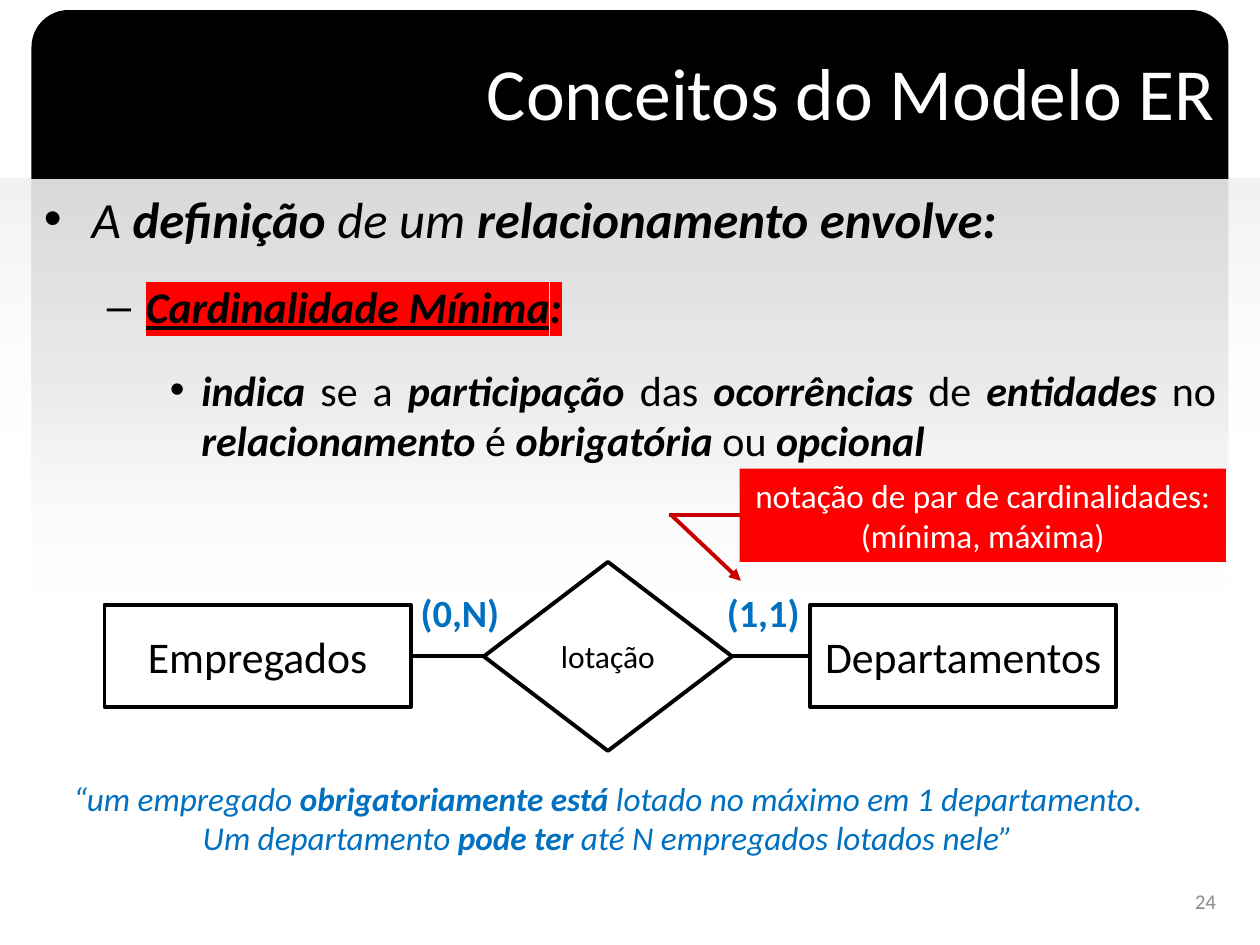
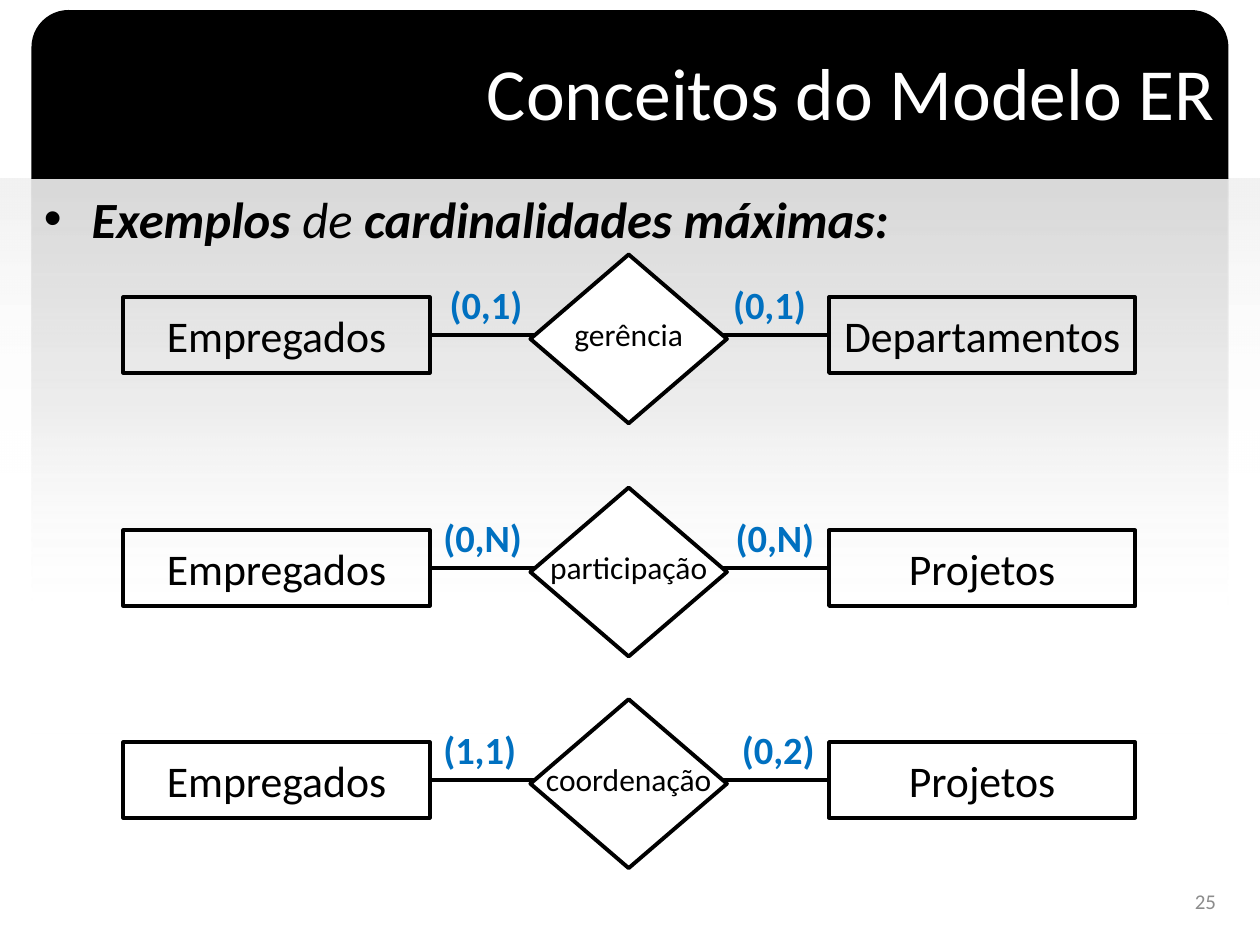
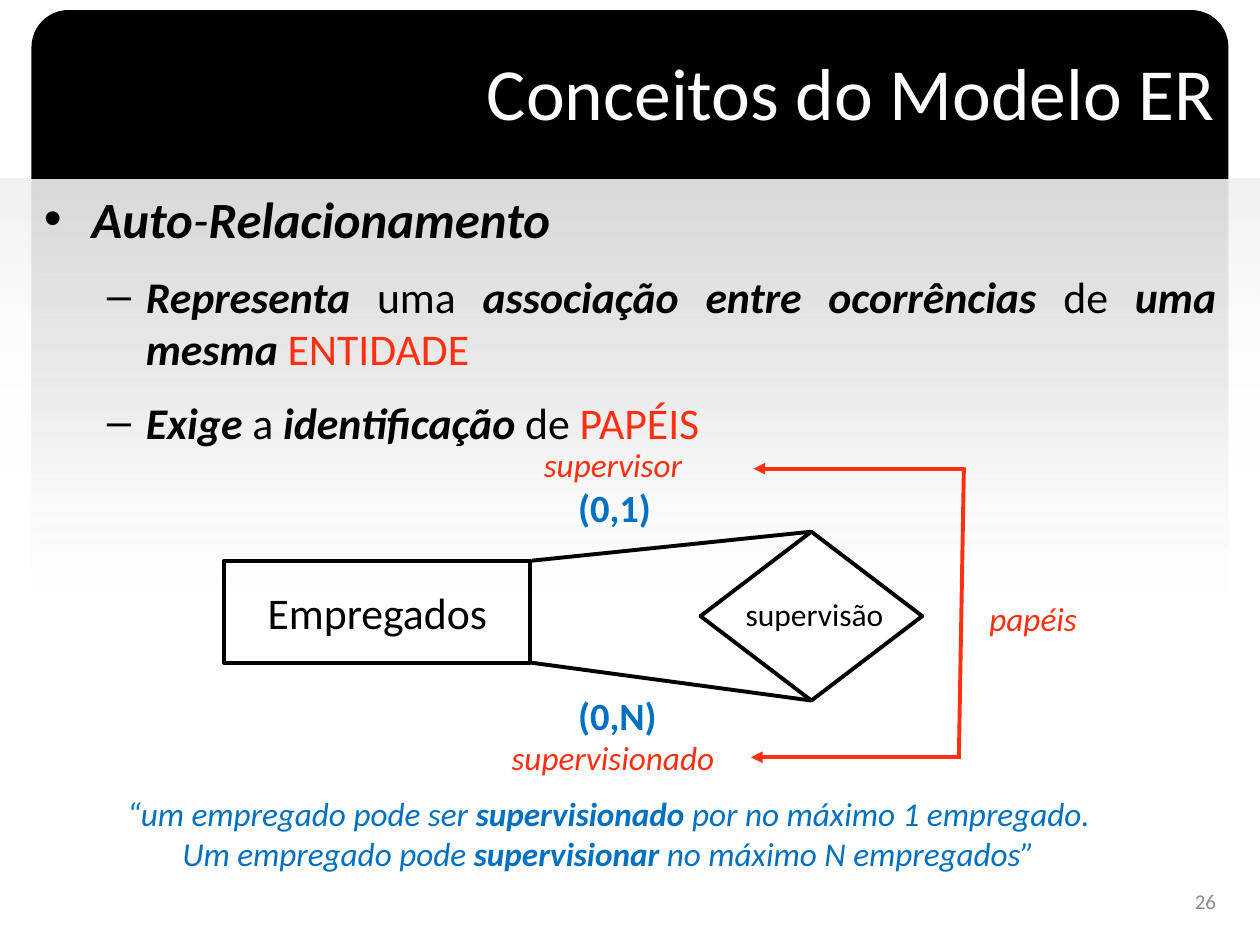
from dataclasses import dataclass

from lxml.etree import SubElement
from pptx import Presentation
from pptx.dml.color import RGBColor
from pptx.enum.shapes import MSO_CONNECTOR, MSO_SHAPE
from pptx.enum.text import MSO_ANCHOR, PP_ALIGN
from pptx.oxml.ns import qn
from pptx.util import Inches, Pt


@dataclass(frozen=True)
class Theme:
    font: str = "Calibri"
    black: str = "000000"
    white: str = "FFFFFF"
    blue: str = "0070C0"
    red: str = "FF0000"
    dark_red: str = "C80000"
    role_red: str = "FF2F12"
    grey: str = "8C8C8C"
    title: int = 42
    levels: tuple = (29, 25, 24)
    entity: int = 25
    cardinality: int = 22
    note: int = 19
    relationship: int = 18
    number: int = 12
    line: float = 2.25


theme = Theme()
# Left indent, hanging indent and bullet of each outline level
OUTLINE = [(0.38, 0.38, "•"), (0.81, 0.31, "–"), (1.25, 0.25, "•")]
# Width and height of every cardinality label
CARDINALITY_SIZE = (0.9, 0.47)


def add_piece(slide, at, paragraphs=(), size=theme.entity, colour=theme.black, marks="",
              align=PP_ALIGN.CENTER, preset=None, fill=None, outline=None,
              wrap=False, anchor=MSO_ANCHOR.MIDDLE, space_after=None):
    """Add a shape, or a text box if no preset is given.

    A paragraph is a string, a list of (text, marks) runs, or, in an outline
    (space_after given), a (level, runs) pair. Marks: b, i, u, h, r.
    """
    box = [Inches(length) for length in at]
    if preset is None:
        piece = slide.shapes.add_textbox(*box)
    else:
        piece = slide.shapes.add_shape(preset, *box)
        piece.shadow.inherit = False
        if fill:
            piece.fill.solid()
            piece.fill.fore_color.rgb = RGBColor.from_string(fill)
        else:
            piece.fill.background()
        if outline:
            piece.line.color.rgb = RGBColor.from_string(outline)
            piece.line.width = Pt(theme.line)
        else:
            piece.line.fill.background()

    frame = piece.text_frame
    frame.word_wrap = wrap
    frame.vertical_anchor = anchor
    for index, content in enumerate(paragraphs):
        paragraph = frame.paragraphs[0] if index == 0 else frame.add_paragraph()
        paragraph.alignment = align
        if space_after is not None:
            level, content = content
            left, hanging, bullet = OUTLINE[level]
            size = theme.levels[level]
            properties = paragraph._p.get_or_add_pPr()
            properties.set("marL", str(Inches(left)))
            properties.set("indent", str(-Inches(hanging)))
            SubElement(properties, qn("a:buFont")).set("typeface", "Arial")
            SubElement(properties, qn("a:buChar")).set("char", bullet)
            paragraph.level = level
            paragraph.space_before = Pt(6 if index else 0)
            paragraph.space_after = Pt(space_after)
        paragraph.font.name = theme.font
        paragraph.font.size = Pt(size)
        paragraph.font.color.rgb = RGBColor.from_string(colour)
        paragraph.font.bold = "b" in marks
        paragraph.font.italic = "i" in marks
        for text, run_marks in [(content, "")] if isinstance(content, str) else content:
            run = paragraph.add_run()
            run.text = text
            if "b" in run_marks:
                run.font.bold = True
            if "i" in run_marks:
                run.font.italic = True
            if "u" in run_marks:
                run.font.underline = True
            if "r" in run_marks:
                run.font.color.rgb = RGBColor.from_string(theme.role_red)
            if "h" in run_marks:
                highlight = SubElement(run._r.get_or_add_rPr(), qn("a:highlight"))
                SubElement(highlight, qn("a:srgbClr")).set("val", theme.red)
    return piece


def add_line(slide, start, end, colour=theme.black, arrow=False):
    line = slide.shapes.add_connector(
        MSO_CONNECTOR.STRAIGHT, *[Inches(length) for length in (*start, *end)])
    line.line.color.rgb = RGBColor.from_string(colour)
    line.line.width = Pt(theme.line)
    if arrow:
        SubElement(line.line._get_or_add_ln(), qn("a:tailEnd")).set("type", "triangle")
    SubElement(line._element.spPr, qn("a:effectLst"))
    return line


presentation = Presentation()
presentation.slide_width = Inches(10)
presentation.slide_height = Inches(7.5)

# Outline text of each slide: space after, then (level, runs)
outlines = [
    (12, [
        (0, [("A ", "i"), ("definição ", "bi"), ("de um ", "i"),
             ("relacionamento envolve:", "bi")]),
        (1, [("Cardinalidade Mínima", "biuh"), (":", "bih")]),
        (2, [("indica ", "bi"), ("se a ", ""), ("participação ", "bi"), ("das ", ""),
             ("ocorrências ", "bi"), ("de ", ""), ("entidades ", "bi"), ("no ", ""),
             ("relacionamento ", "bi"), ("é ", ""), ("obrigatória ", "bi"),
             ("ou ", ""), ("opcional", "bi")]),
    ]),
    (12, [
        (0, [("Exemplos ", "bi"), ("de ", "i"), ("cardinalidades máximas:", "bi")]),
    ]),
    (6, [
        (0, [("Auto", "bi"), ("-", "i"), ("Relacionamento", "bi")]),
        (1, [("Representa ", "bi"), ("uma ", ""),
             ("associação entre ocorrências ", "bi"), ("de ", ""),
             ("uma mesma ", "bi"), ("ENTIDADE", "r")]),
        (1, [("Exige ", "bi"), ("a ", ""), ("identificação ", "bi"), ("de ", ""),
             ("PAPÉIS", "r")]),
    ]),
]

# Gradient bands: place, then stops as (position %, colour, opacity %)
bands = [
    ((0, 1.42, 10, 2.33), [(0, "F2F2F2", 100), (100, "FFFFFF", 0)]),
    ((0.25, 1.42, 9.5, 4.42),
     [(0, "D9D9D9", 100), (40, "DFDFDF", 55), (78, "FFFFFF", 10), (100, "FFFFFF", 0)]),
]

# Shared background, title, outline and slide number
slides = []
for number, (space_after, outline) in enumerate(outlines, start=24):
    slide = presentation.slides.add_slide(presentation.slide_layouts[6])
    slides.append(slide)
    panel = add_piece(slide, (0.25, 1.42, 9.5, 5.93), fill=theme.white,
                      preset=MSO_SHAPE.ROUND_2_SAME_RECTANGLE)
    panel.rotation = 180
    panel.adjustments[0] = 0.04
    for at, stops in bands:
        band = add_piece(slide, at, preset=MSO_SHAPE.RECTANGLE)
        band.fill.gradient()
        band.fill.gradient_angle = 270
        stop_list = band._element.spPr.find(".//" + qn("a:gsLst"))
        stop_list.clear()
        for position, colour, opacity in stops:
            stop = SubElement(stop_list, qn("a:gs"))
            stop.set("pos", str(position * 1000))
            stop_colour = SubElement(stop, qn("a:srgbClr"))
            stop_colour.set("val", colour)
            SubElement(stop_colour, qn("a:alpha")).set("val", str(opacity * 1000))
    header = add_piece(slide, (0.25, 0.08, 9.5, 1.34), fill=theme.black,
                       preset=MSO_SHAPE.ROUND_2_SAME_RECTANGLE)
    header.adjustments[0] = 0.22
    add_piece(slide, (0.25, 0.1, 9.49, 1.25), ["Conceitos do Modelo ER"], theme.title,
              theme.white, align=PP_ALIGN.RIGHT, wrap=True)
    add_piece(slide, (0.25, 1.44, 9.5, 5.41), outline, align=PP_ALIGN.JUSTIFY,
              wrap=True, anchor=MSO_ANCHOR.TOP, space_after=space_after)
    add_piece(slide, (7.42, 6.95, 2.33, 0.4), [str(number)], theme.number, theme.grey,
              align=PP_ALIGN.RIGHT, wrap=True)
minimum, examples, self_relation = slides

# Pairs of entities: slide, entity left edges, top and height, entity names,
# diamond place, relationship, label drop, cardinalities with their left edges
pairs = [
    (minimum, (0.83, 6.43), 4.8, 0.81, ("Empregados", "Departamentos"),
     (3.84, 4.46, 1.97, 1.5), "lotação", 0, [(3.24, "(0,N)"), (5.67, "(1,1)")]),
]
for top, right_entity, relationship, cardinalities in [
    (2.02, "Departamentos", "gerência", [(3.47, "(0,1)"), (5.72, "(0,1)")]),
    (3.87, "Projetos", "participação", [(3.42, "(0,N)"), (5.74, "(0,N)")]),
    (5.55, "Projetos", "coordenação", [(3.42, "(1,1)"), (5.79, "(0,2)")]),
]:
    pairs.append((examples, (0.98, 6.58), top + 0.34, 0.6, ("Empregados", right_entity),
                  (4.21, top, 1.56, 1.34), relationship, -0.04, cardinalities))

for (slide, lefts, top, height, names, diamond, relationship, drop,
     cardinalities) in pairs:
    first, second = [
        add_piece(slide, (left, top, 2.43, height), [name],
                  preset=MSO_SHAPE.RECTANGLE, outline=theme.black)
        for left, name in zip(lefts, names)]
    middle = top + height / 2
    link = add_line(slide, (lefts[0] + 2.43, middle), (lefts[1], middle))
    link.begin_connect(first, 3)
    link.end_connect(second, 1)
    add_piece(slide, diamond, preset=MSO_SHAPE.DIAMOND, fill=theme.white,
              outline=theme.black)
    left, diamond_top, width, diamond_height = diamond
    add_piece(slide, (left, diamond_top + drop, width, diamond_height), [relationship],
              theme.relationship)
    for left, cardinality in cardinalities:
        add_piece(slide, (left, top - 0.18, *CARDINALITY_SIZE), [cardinality],
                  theme.cardinality, theme.blue, "b", PP_ALIGN.LEFT)

# Minimum cardinality: callout and reading of the diagram
add_piece(minimum, (5.87, 3.72, 3.86, 0.74),
          ["notação de par de cardinalidades:", "(mínima, máxima)"], theme.note,
          theme.white, preset=MSO_SHAPE.RECTANGLE, fill=theme.red)
add_line(minimum, (5.32, 4.08), (5.88, 4.61), theme.dark_red, arrow=True)
add_line(minimum, (5.31, 4.09), (5.87, 4.09), theme.dark_red)
add_piece(minimum, (0.44, 6.12, 8.77, 0.74), [
    [("“um empregado ", ""), ("obrigatoriamente está ", "b"),
     ("lotado no máximo em 1 departamento.", "")],
    [("Um departamento ", ""), ("pode ter ", "b"),
     ("até N empregados lotados nele”", "")],
], theme.note, theme.blue, "i")

# Self-relationship: entity tied twice to one diamond
add_piece(self_relation, (1.78, 4.45, 2.43, 0.81), ["Empregados"],
          preset=MSO_SHAPE.RECTANGLE, outline=theme.black)
supervision = add_piece(self_relation, (5.56, 4.22, 1.76, 1.34),
                        preset=MSO_SHAPE.DIAMOND, fill=theme.white, outline=theme.black)
add_piece(self_relation, (5.81, 4.67, 1.31, 0.4), ["supervisão"], theme.relationship)
for corner, tip, site in [(4.45, 4.22, 0), (5.26, 5.56, 2)]:
    add_line(self_relation, (4.22, corner), (6.44, tip)).end_connect(supervision, site)
for top, cardinality in [(3.79, "(0,1)"), (5.44, "(0,N)")]:
    add_piece(self_relation, (4.49, top, *CARDINALITY_SIZE), [cardinality],
              theme.cardinality, theme.blue, "b", PP_ALIGN.LEFT)

# Roles and the bracket that points at them
for at, role in [((4.21, 3.47, 1.31, 0.42), "supervisor"),
                 ((3.95, 5.8, 1.83, 0.42), "supervisionado"),
                 ((7.75, 4.7, 0.9, 0.42), "papéis")]:
    add_piece(self_relation, at, [role], theme.note, theme.role_red, "i")
add_line(self_relation, (7.65, 3.72), (5.98, 3.72), theme.role_red, arrow=True)
add_line(self_relation, (7.65, 3.71), (7.61, 6.02), theme.role_red)
add_line(self_relation, (7.63, 6.01), (5.96, 6.01), theme.role_red, arrow=True)
add_piece(self_relation, (0.89, 6.24, 7.88, 0.74), [
    [("“um empregado pode ser ", ""), ("supervisionado ", "b"),
     ("por no máximo 1 empregado.", "")],
    [("Um empregado pode ", ""), ("supervisionar ", "b"),
     ("no máximo N empregados”", "")],
], theme.note, theme.blue, "i")

presentation.save("out.pptx")
